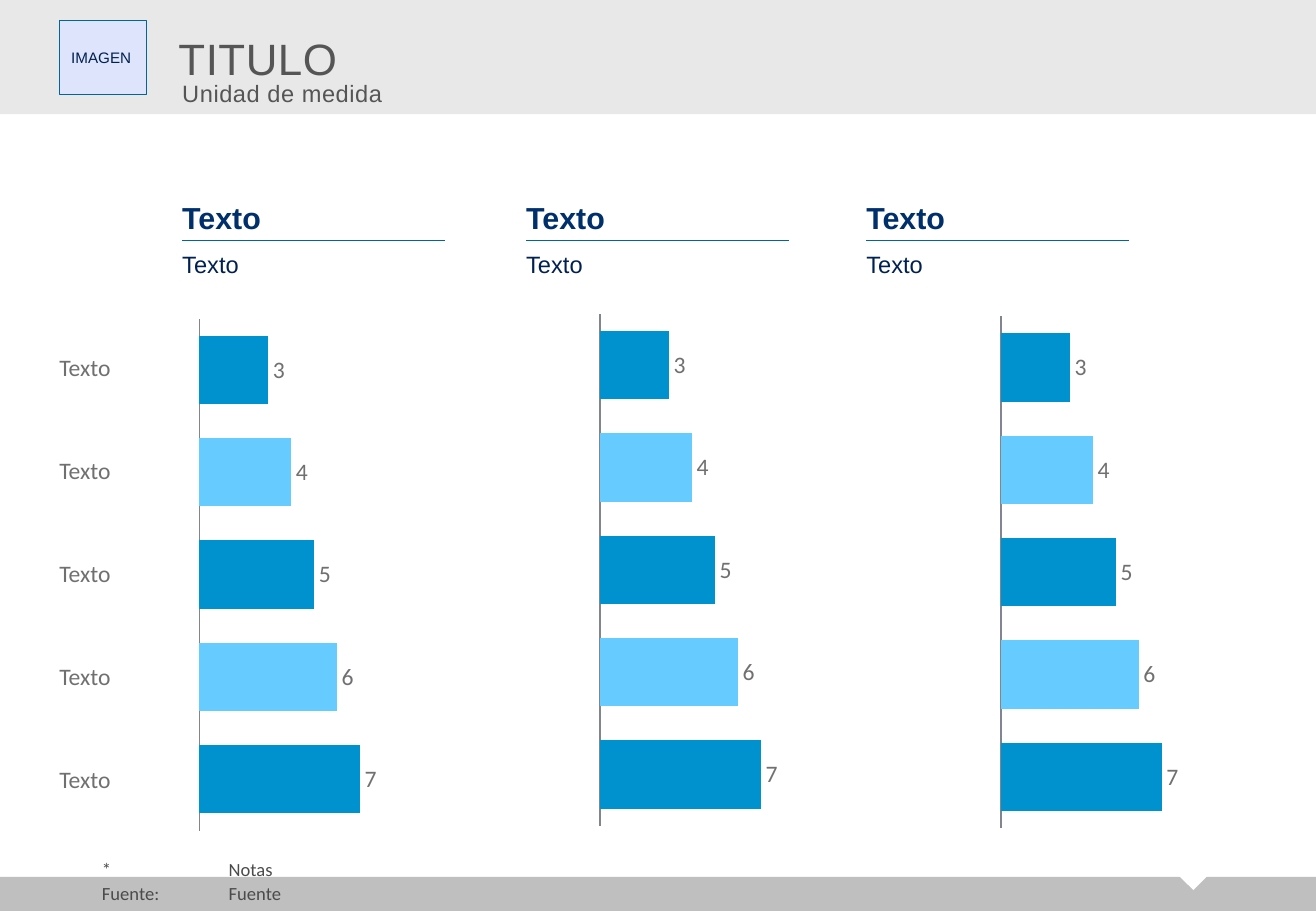
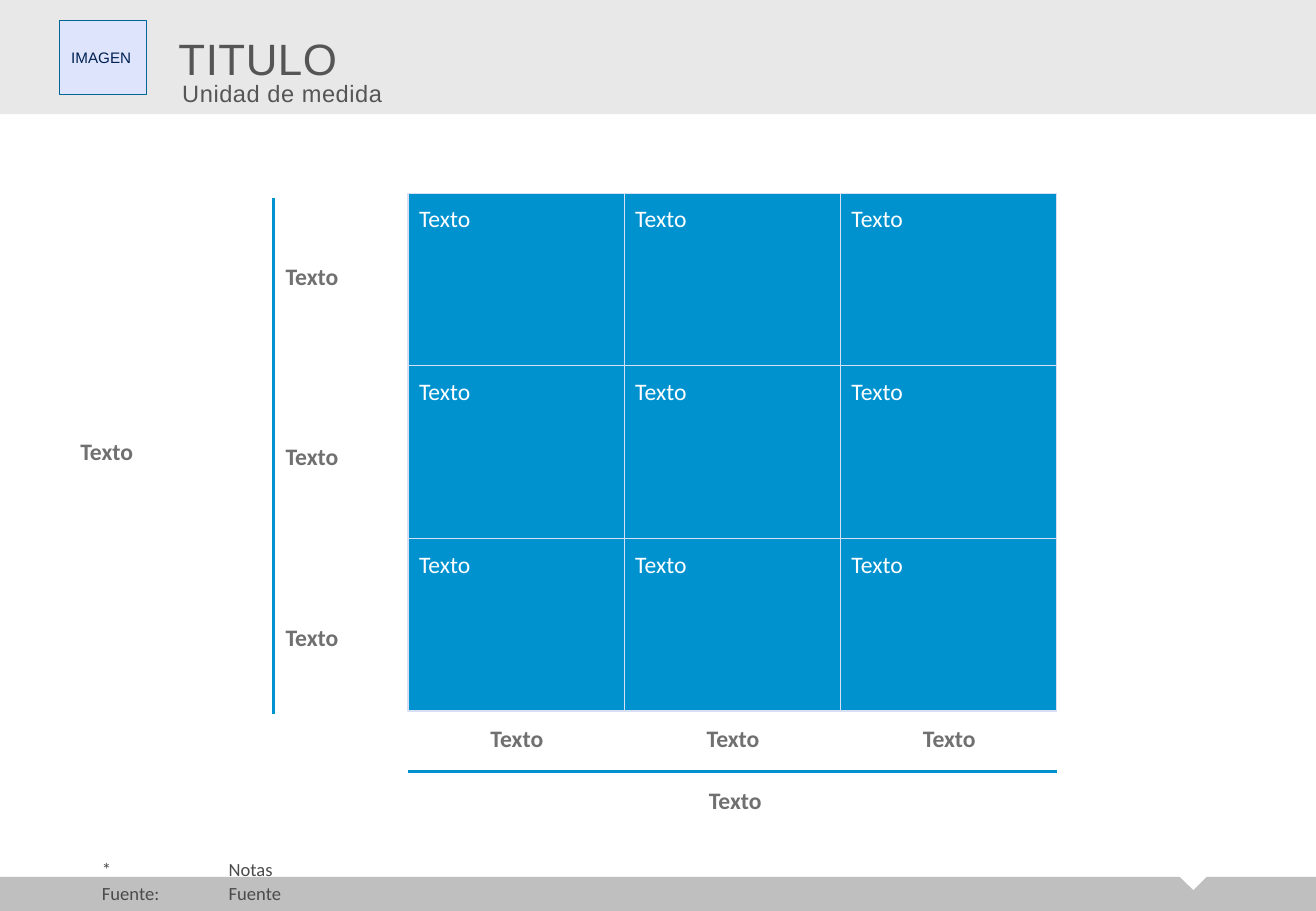
"""Build two template slides: a bar chart comparison and a three by three matrix."""
import pptx
import pptx.chart.data
import pptx.dml.color
import pptx.enum.chart
import pptx.enum.shapes
import pptx.enum.text
import pptx.oxml
import pptx.oxml.ns
import pptx.util

Cm = pptx.util.Cm
Pt = pptx.util.Pt
SHAPES = pptx.enum.shapes.MSO_SHAPE
ANCHOR = pptx.enum.text.MSO_ANCHOR
ALIGN = pptx.enum.text.PP_ALIGN

COLOURS = {
    "white": "FFFFFF",
    "header": "E8E8E8",
    "footer": "BFBFBF",
    "title": "555555",
    "note": "4B4B4B",
    "label": "707070",
    "axis": "808590",
    "navy": "002052",
    "heading": "00306B",
    "rule": "006699",
    "image": "DDE4FB",
    "series": "D4E5FF",
    "blue": "0092CF",
    "sky": "66CCFF",
    "border": "D7DFF6",
}
SLIDE_WIDTH, SLIDE_HEIGHT = 27.51, 19.05
TEXT_HEIGHT = 0.61


def colour(name):
    """Return the named palette colour."""
    return pptx.dml.color.RGBColor.from_string(COLOURS[name])


def place(shape, left, top, width, height):
    """Move and size a shape, in centimetres."""
    shape.left, shape.top = Cm(left), Cm(top)
    shape.width, shape.height = Cm(width), Cm(height)


def write_text(shape, text, size=14, font="Calibri", color="label", bold=False,
               align=ALIGN.LEFT, anchor=ANCHOR.TOP, margins=(0, 0, 0, 0),
               before=0, after=0, line_spacing=None, tracking=None, tab=None):
    """Fill a shape with formatted text, one paragraph for each line."""
    frame = shape.text_frame
    frame.text = text
    frame.word_wrap = True
    frame.auto_size = pptx.enum.text.MSO_AUTO_SIZE.NONE
    frame.vertical_anchor = anchor
    frame.margin_left, frame.margin_top, frame.margin_right, frame.margin_bottom = map(Cm, margins)
    for paragraph in frame.paragraphs:
        if tab:
            tabs = pptx.oxml.parse_xml(
                f'<a:tabLst {pptx.oxml.ns.nsdecls("a")}><a:tab pos="{Cm(tab)}" algn="l"/></a:tabLst>')
            paragraph._p.get_or_add_pPr().append(tabs)
        paragraph.alignment = align
        paragraph.space_before, paragraph.space_after = Pt(before), Pt(after)
        paragraph.line_spacing = line_spacing
        for run in paragraph.runs:
            run.font.size, run.font.name, run.font.bold = Pt(size), font, bold
            run.font.color.rgb = colour(color)
            if tracking:
                run._r.get_or_add_rPr().set("spc", str(tracking))


def add_text(slide, text, left, top, width, height=TEXT_HEIGHT, **text_format):
    """Add a text box without margins."""
    shape = slide.shapes.add_textbox(Cm(left), Cm(top), Cm(width), Cm(height))
    write_text(shape, text, **text_format)


def add_box(slide, left, top, width, height, fill, line=None, kind=SHAPES.RECTANGLE):
    """Add a flat preset shape with an optional thin outline."""
    shape = slide.shapes.add_shape(kind, Cm(left), Cm(top), Cm(width), Cm(height))
    shape.shadow.inherit = False
    shape.fill.solid()
    shape.fill.fore_color.rgb = colour(fill)
    if line:
        shape.line.color.rgb = colour(line)
        shape.line.width = Pt(0.75)
    else:
        shape.line.fill.background()
    return shape


def add_line(slide, start, end, color, width):
    """Add a straight line between two points."""
    connector = slide.shapes.add_connector(
        pptx.enum.shapes.MSO_CONNECTOR.STRAIGHT, *map(Cm, start + end))
    connector.line.color.rgb = colour(color)
    connector.line.width = Pt(width)
    connector.element.spPr.append(
        pptx.oxml.parse_xml(f'<a:effectLst {pptx.oxml.ns.nsdecls("a")}/>'))


def move_footer_to_layout(slide):
    """Draw the footer band and its notch, and hand them to the layout."""
    layout = slide.slide_layout
    for placeholder in list(layout.placeholders):
        if placeholder.placeholder_format.idx:
            placeholder.element.getparent().remove(placeholder.element)
    band = add_box(slide, 0, 18.34, SLIDE_WIDTH, 0.71, "footer")
    notch = add_box(slide, 24.64, 18.31, 0.61, 0.3, "white", kind=SHAPES.ISOSCELES_TRIANGLE)
    notch.rotation = 180
    for position, shape in enumerate((band, notch), start=2):
        layout.shapes.element.insert(position, shape.element)


def add_frame(slide, title, unit, notes):
    """Add the title band, image box, unit of measure and notes."""
    heading = slide.shapes.title
    place(heading, 0, 0, SLIDE_WIDTH, 2.39)
    heading.fill.solid()
    heading.fill.fore_color.rgb = colour("header")
    title_format = dict(font="Arial", color="title", before=0, tracking=30)
    write_text(heading, title, size=26, anchor=ANCHOR.MIDDLE, margins=(3.73, 0.04, 0, 0), **title_format)
    image = add_box(slide, 1.24, 0.43, 1.83, 1.55, "image", "rule")
    write_text(image, "IMAGEN", size=9, font="Arial", color="navy", anchor=ANCHOR.MIDDLE,
               margins=(0.25, 0.13, 0.25, 0.13))
    add_text(slide, notes, 2.13, 17.96, 24.33, 0.97, size=11, color="note",
             anchor=ANCHOR.BOTTOM, after=2, line_spacing=0.95, tab=2.65)
    add_text(slide, unit, 3.81, 1.65, 22.86, **title_format)


def add_heading(slide, left, heading, subheading):
    """Add a column heading with a rule and a second line."""
    width = 5.5
    add_line(slide, (left, 5.03), (left + width, 5.03), "rule", 0.75)
    add_text(slide, heading, left, 4.32, width, size=18, font="Arial", color="heading",
             bold=True, anchor=ANCHOR.BOTTOM)
    add_text(slide, subheading, left, 5.23, width, font="Arial", color="navy")


def set_plot_area(chart, **fractions):
    """Fix the inner plot area as fractions of the chart."""
    namespace = pptx.oxml.ns.nsdecls("c")
    values = "".join(f'<c:{key} val="{value}"/>' for key, value in fractions.items())
    layout = pptx.oxml.parse_xml(
        f'<c:layout {namespace}><c:manualLayout><c:layoutTarget val="inner"/>'
        f'<c:xMode val="edge"/><c:yMode val="edge"/>{values}</c:manualLayout></c:layout>')
    plot_area = chart.element.find(".//" + pptx.oxml.ns.qn("c:plotArea"))
    for present in plot_area.findall(pptx.oxml.ns.qn("c:layout")):
        plot_area.remove(present)
    plot_area.insert(0, layout)


def add_bar_chart(slide, left, top, values):
    """Add a bar chart with alternating colours and value labels."""
    data = pptx.chart.data.CategoryChartData()
    data.categories = [str(number) for number in range(1, len(values) + 1)]
    data.add_series("Series 1", values)
    chart = slide.shapes.add_chart(
        pptx.enum.chart.XL_CHART_TYPE.BAR_CLUSTERED,
        Cm(left), Cm(top), Cm(5.26), Cm(12.9), data).chart
    chart.has_legend = chart.has_title = False
    chart.font.name, chart.font.size = "Arial", Pt(18)
    chart.font.color.rgb = colour("navy")
    set_plot_area(chart, x=0.02, y=0.06, w=0.73, h=0.83)

    categories = chart.category_axis
    categories.reverse_order = True
    categories.tick_label_position = pptx.enum.chart.XL_TICK_LABEL_POSITION.NONE
    categories.major_tick_mark = categories.minor_tick_mark = pptx.enum.chart.XL_TICK_MARK.NONE
    categories.format.line.color.rgb = colour("axis")
    categories.format.line.width = Pt(0.75)
    scale = chart.value_axis
    scale.visible = scale.has_major_gridlines = False
    scale.minimum_scale, scale.maximum_scale = 0, 8

    plot = chart.plots[0]
    plot.gap_width = 50
    plot.vary_by_categories = False
    series = plot.series[0]
    series.format.fill.solid()
    series.format.fill.fore_color.rgb = colour("series")
    for index in range(len(values)):
        fill = series.points[index].format.fill
        fill.solid()
        fill.fore_color.rgb = colour(("blue", "sky")[index % 2])
    labels = series.data_labels
    labels.show_value = True
    labels.position = pptx.enum.chart.XL_LABEL_POSITION.OUTSIDE_END
    labels.font.name, labels.font.size = "Calibri", Pt(14)
    labels.font.color.rgb = colour("label")


def build_bars(slide):
    """Fill the slide with three headed bar charts."""
    for row in range(5):
        add_text(slide, "Texto", 1.24, 7.39 + 2.15 * row, 3.05)
    for column, top in enumerate((5.89, 5.79, 5.84)):
        add_bar_chart(slide, 4.06 + 8.38 * column, top, (3, 4, 5, 6, 7))
    for left in (3.81, 11, 18.11):
        add_heading(slide, left, "Texto", "Texto")


def build_matrix(slide):
    """Fill the slide with a labelled three by three matrix."""
    left, top, width, height, count = 8.53, 4.04, 4.52, 3.61, 3
    for row in range(count):
        for column in range(count):
            cell = add_box(slide, left + width * column, top + height * row, width, height, "blue", "border")
            write_text(cell, "Texto", color="white", margins=(0.23, 0.23, 0.23, 0.23))
    add_line(slide, (left, 16.13), (left + width * count, 16.13), "blue", 2)
    add_line(slide, (5.72, 4.14), (5.72, 14.94), "blue", 2)
    row_format = dict(bold=True, anchor=ANCHOR.MIDDLE)
    column_format = dict(bold=True, align=ALIGN.CENTER)
    for index in range(count):
        add_text(slide, "Texto", 5.97, 5.46 + 3.78 * index, 2.39, **row_format)
        add_text(slide, "Texto", 8.66 + width * index, 15.14, 4.29, **column_format)
    add_text(slide, "Texto", 1.68, 9.12, 3.81, **row_format)
    add_text(slide, "Texto", 12.17, 16.43, 6.4, **column_format)


def main():
    """Create and save the presentation."""
    presentation = pptx.Presentation()
    presentation.slide_width, presentation.slide_height = Cm(SLIDE_WIDTH), Cm(SLIDE_HEIGHT)
    layout = presentation.slide_layouts[5]
    for number, build in enumerate((build_bars, build_matrix)):
        slide = presentation.slides.add_slide(layout)
        if number == 0:
            move_footer_to_layout(slide)
        add_frame(slide, "TITULO", "Unidad de medida", "*\tNotas\nFuente:\tFuente")
        build(slide)
    presentation.save("out.pptx")


if __name__ == "__main__":
    main()
